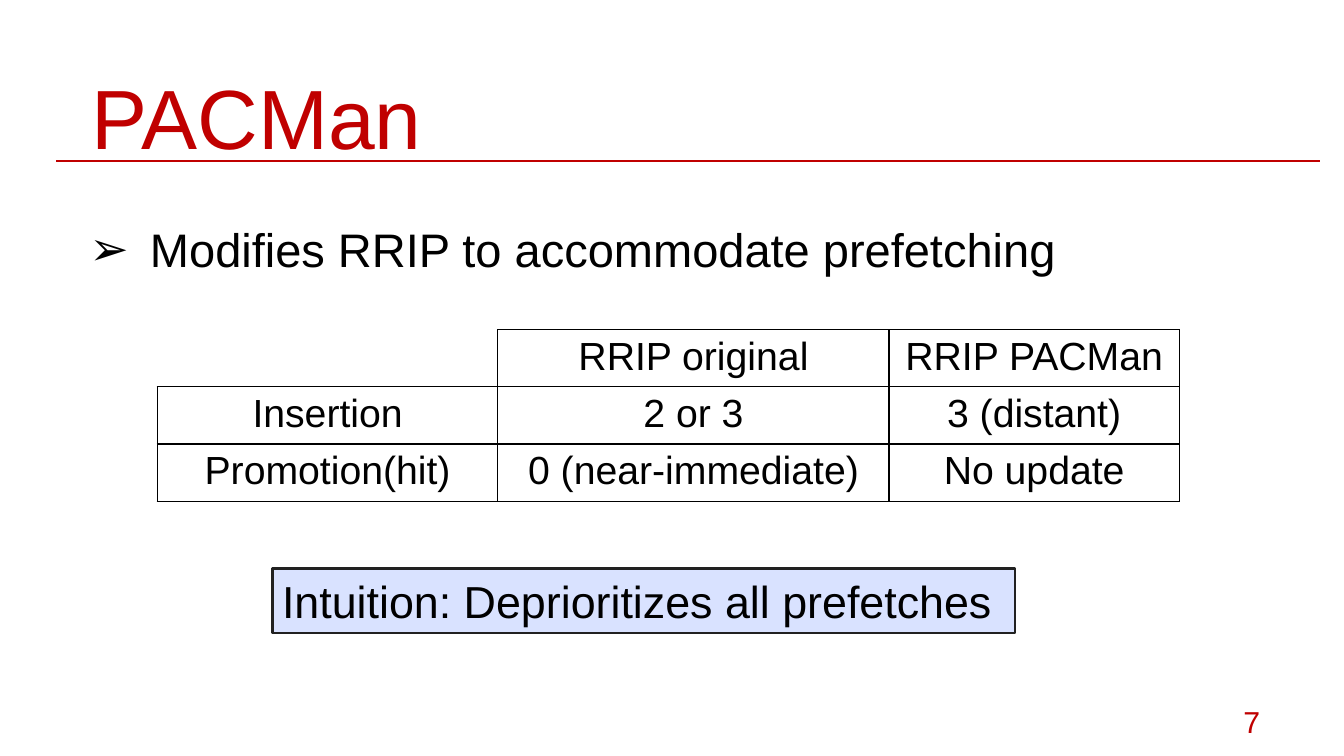
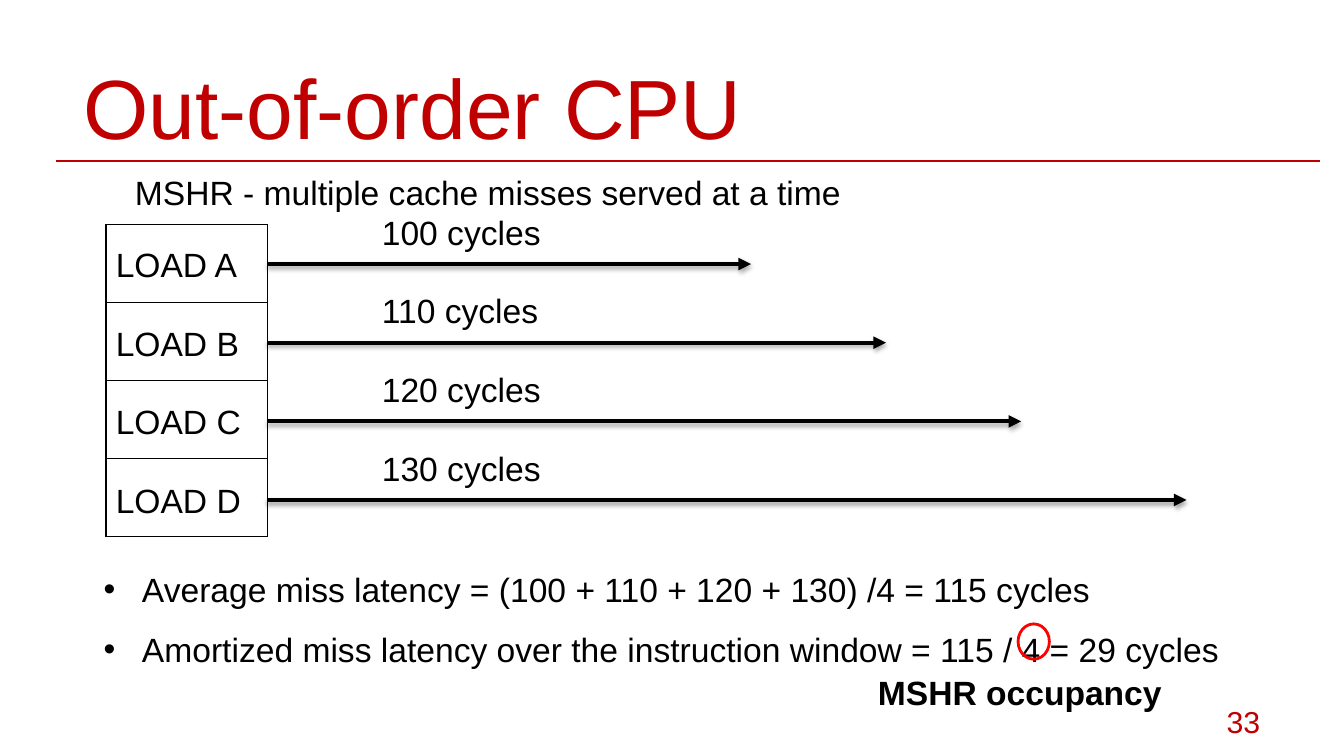
from lxml.etree import SubElement
from pptx import Presentation
from pptx.dml.color import RGBColor
from pptx.enum.shapes import MSO_CONNECTOR, MSO_SHAPE
from pptx.enum.text import MSO_ANCHOR, MSO_AUTO_SIZE, PP_ALIGN
from pptx.oxml.ns import qn
from pptx.util import Inches, Pt

WIDTH, HEIGHT = Inches(13.333), Inches(7.5)
FONT = "Arial"
CRIMSON = RGBColor(0xC0, 0x00, 0x00)
RED = RGBColor(0xFF, 0x00, 0x00)
BLACK = RGBColor(0x00, 0x00, 0x00)
CHARCOAL = RGBColor(0x21, 0x21, 0x21)
PALE_BLUE = RGBColor(0xD9, 0xE2, 0xFF)
WIDE_INSET = Inches(0.12)
LABEL_HEIGHT = 6.67


def across(percent):
    return round(WIDTH * percent / 100)


def down(percent):
    return round(HEIGHT * percent / 100)


def area(left, top, width, height):
    return across(left), down(top), across(width), down(height)


def add_run(paragraph, text, size, color=BLACK, bold=False):
    run = paragraph.add_run()
    run.text = text
    run.font.name = FONT
    run.font.size = Pt(size)
    run.font.color.rgb = color
    run.font.bold = bold


def widen_insets(frame):
    frame.margin_left = frame.margin_right = WIDE_INSET
    frame.margin_top = frame.margin_bottom = WIDE_INSET


def add_label(slide, place, text, size=24, bold=False):
    label = slide.shapes.add_textbox(*area(*place))
    label.text_frame.word_wrap = True
    label.text_frame.auto_size = MSO_AUTO_SIZE.SHAPE_TO_FIT_TEXT
    add_run(label.text_frame.paragraphs[0], text, size, bold=bold)
    return label


def add_bullets(slide, place, lines, size, mark, indent):
    frame = slide.shapes.add_textbox(*area(*place)).text_frame
    frame.word_wrap = True
    frame.auto_size = MSO_AUTO_SIZE.SHAPE_TO_FIT_TEXT
    for index, line in enumerate(lines):
        paragraph = frame.add_paragraph() if index else frame.paragraphs[0]
        paragraph.line_spacing = 1.5
        properties = paragraph._p.get_or_add_pPr()
        properties.set("marL", str(Inches(indent)))
        properties.set("indent", str(-Inches(indent)))
        color = SubElement(properties, qn("a:buClr"))
        SubElement(color, qn("a:srgbClr"), val=str(BLACK))
        SubElement(properties, qn("a:buFont"), typeface=FONT)
        SubElement(properties, qn("a:buChar"), char=mark)
        add_run(paragraph, line, size)


def add_line(slide, start, end, color, weight):
    line = slide.shapes.add_connector(
        MSO_CONNECTOR.STRAIGHT,
        across(start[0]), down(start[1]), across(end[0]), down(end[1]),
    )
    line.line.color.rgb = color
    line.line.width = Pt(weight)
    effects = SubElement(line._element.spPr, qn("a:effectLst"))
    return line, effects


def add_arrow(slide, source, start, end):
    arrow, effects = add_line(slide, start, end, BLACK, 3)
    arrow.begin_connect(source, 3)
    arrow.end_y = arrow.begin_y
    SubElement(arrow.line._get_or_add_ln(), qn("a:tailEnd"), type="triangle")
    shadow = SubElement(
        effects, qn("a:outerShdw"), blurRad=str(Pt(3.1)), dist=str(Pt(1.8)),
        dir="5400000", rotWithShape="0",
    )
    color = SubElement(shadow, qn("a:srgbClr"), val=str(BLACK))
    SubElement(color, qn("a:alpha"), val="35000")


def set_borders(cell, hidden):
    properties = cell._tc.get_or_add_tcPr()
    for side in "LRTB":
        border = SubElement(properties, qn(f"a:ln{side}"), w=str(Pt(1)))
        if side in hidden:
            SubElement(border, qn("a:noFill"))
        else:
            fill = SubElement(border, qn("a:solidFill"))
            SubElement(fill, qn("a:srgbClr"), val=str(BLACK))


def add_grid(slide, left, top, columns, row_height, rows, open_corner=False):
    table = slide.shapes.add_table(
        len(rows), len(columns),
        *area(left, top, sum(columns), row_height * len(rows)),
    ).table
    table.first_row = table.horz_banding = False
    for column, width in zip(table.columns, columns):
        column.width = across(width)
    for row_index, texts in enumerate(rows):
        table.rows[row_index].height = down(row_height)
        for column_index, text in enumerate(texts):
            cell = table.cell(row_index, column_index)
            is_corner = row_index == column_index == 0
            set_borders(cell, "LT" if open_corner and is_corner else "")
            cell.fill.background()
            if text:
                paragraph = cell.text_frame.paragraphs[0]
                paragraph.alignment = PP_ALIGN.CENTER
                add_run(paragraph, text, 28)


def add_outlined(slide, preset, place, outline, fill=None):
    shape = slide.shapes.add_shape(preset, *area(*place))
    shape.shadow.inherit = False
    shape.line.color.rgb = outline
    shape.line.width = Pt(2)
    if fill is None:
        shape.fill.background()
    else:
        shape.fill.solid()
        shape.fill.fore_color.rgb = fill
    return shape


def add_titled_slide(deck, heading, number, left, top):
    slide = deck.slides.add_slide(deck.slide_layouts[5])
    add_line(slide, (4.2, 21.33), (98.18, 21.33), CRIMSON, 1.5)

    title = slide.shapes.title
    title.left, title.top, title.width, title.height = area(left, top, 83.85, 11.2)
    frame = title.text_frame
    widen_insets(frame)
    frame.auto_size = MSO_AUTO_SIZE.NONE
    frame.vertical_anchor = MSO_ANCHOR.TOP
    frame.paragraphs[0].alignment = PP_ALIGN.LEFT
    frame.paragraphs[0].line_spacing = 1.1
    add_run(frame.paragraphs[0], heading, 60, CRIMSON)

    page = slide.shapes.add_textbox(*area(88.28, 91.6, 6.38, 7.6)).text_frame
    widen_insets(page)
    page.word_wrap = True
    page.vertical_anchor = MSO_ANCHOR.MIDDLE
    page.paragraphs[0].alignment = PP_ALIGN.RIGHT
    add_run(page.paragraphs[0], number, 21.6, CRIMSON)
    return slide


def build_pacman(deck):
    slide = add_titled_slide(deck, "PACMan", "7", 5.92, 5.73)
    add_bullets(slide, (5.92, 24.8, 81.9, 11.2),
                ["Modifies RRIP to accommodate prefetching"], 33.6, "➢", 0.6)
    policies = [
        ("", "RRIP original", "RRIP PACMan"),
        ("Insertion", "2 or 3", "3 (distant)"),
        ("Promotion(hit)", "0 (near-immediate)", "No update"),
    ]
    add_grid(slide, 11.7, 43.6, (25.35, 29.1, 21.6), 7.55, policies, open_corner=True)
    intuition = add_outlined(slide, MSO_SHAPE.RECTANGLE, (20.25, 75.2, 55.28, 8.53),
                             CHARCOAL, PALE_BLUE)
    intuition.text_frame.word_wrap = True
    intuition.text_frame.paragraphs[0].alignment = PP_ALIGN.LEFT
    add_run(intuition.text_frame.paragraphs[0],
            "Intuition: Deprioritizes all prefetches", 32)


def build_out_of_order(deck):
    slide = add_titled_slide(deck, "Out-of-order CPU", "33", 5.32, 4.4)
    loads = [
        ("LOAD A", "100 cycles", 55.88),
        ("LOAD B", "110 cycles", 65.92),
        ("LOAD C", "120 cycles", 75.98),
        ("LOAD D", "130 cycles", 88.28),
    ]
    left, width = 7.88, 12
    for index, (load, latency, arrow_end) in enumerate(loads):
        top = 31.6 + 10.4 * index
        middle = top + LABEL_HEIGHT / 2
        source = add_label(slide, (left, top, width, LABEL_HEIGHT), load)
        add_arrow(slide, source, (left + width, middle), (arrow_end, middle))
        add_label(slide, (27.68, top - 4.27, 14.25, LABEL_HEIGHT), latency)
    add_bullets(
        slide, (6.98, 71.87, 88.13, 16.53),
        ["Average miss latency = (100 + 110 + 120 + 130) /4 = 115 cycles",
         "Amortized miss latency over the instruction window = 115 / 4 = 29 cycles"],
        24, "•", 0.38,
    )
    add_grid(slide, left, 29.73, (width,), 10.3, [("",)] * len(loads))
    add_label(slide, (9.3, 22.13, 56.63, LABEL_HEIGHT),
              "MSHR - multiple cache misses served at a time")
    add_outlined(slide, MSO_SHAPE.OVAL, (75.75, 82.53, 2.33, 4.67), RED)
    add_label(slide, (64.58, 88.27, 24.53, LABEL_HEIGHT), "MSHR occupancy", bold=True)


def main():
    deck = Presentation()
    deck.slide_width, deck.slide_height = WIDTH, HEIGHT
    build_pacman(deck)
    build_out_of_order(deck)
    deck.save("out.pptx")


if __name__ == "__main__":
    main()
